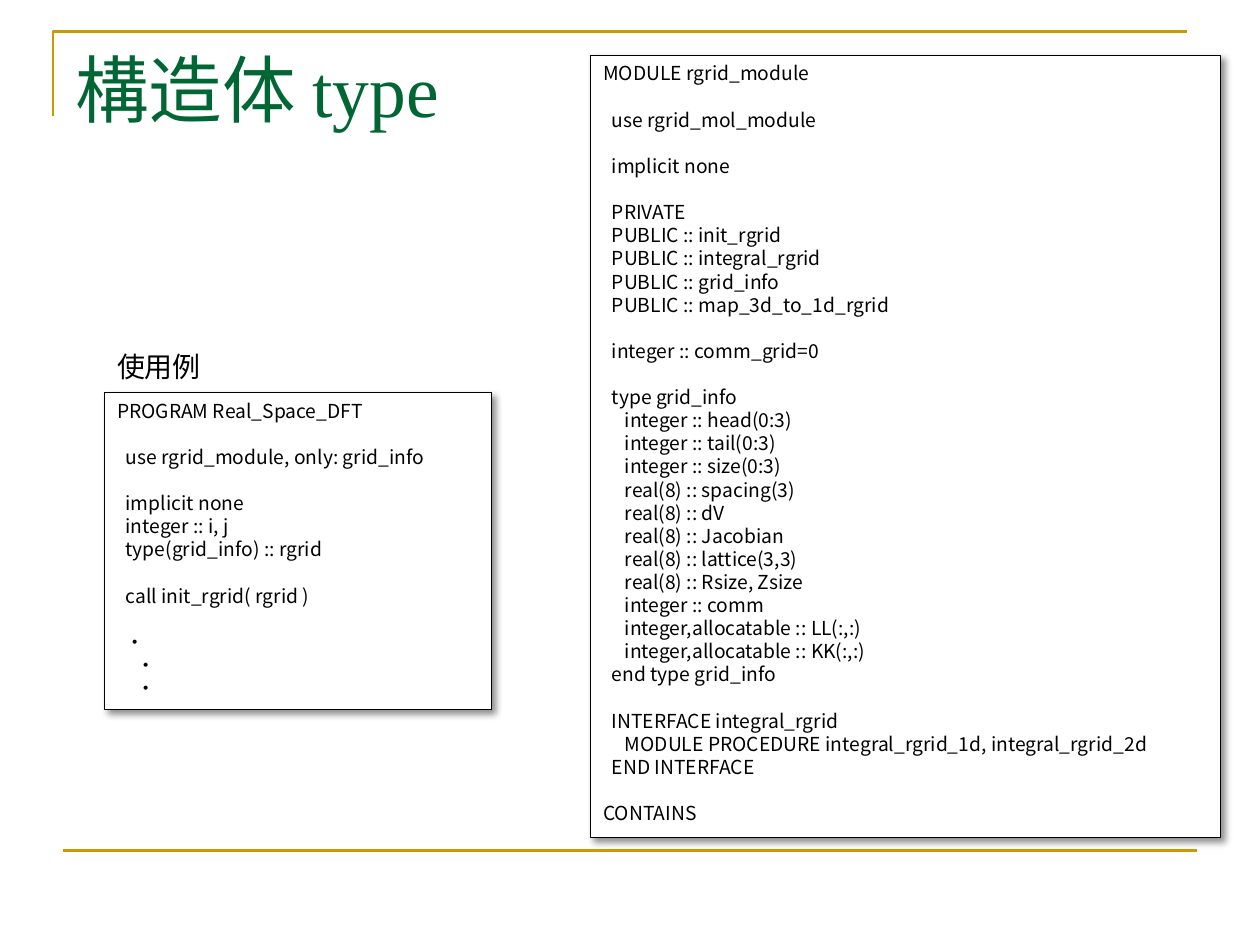
from lxml import etree
from pptx import Presentation
from pptx.dml.color import RGBColor
from pptx.enum.shapes import MSO_CONNECTOR, MSO_SHAPE
from pptx.enum.text import MSO_ANCHOR, PP_ALIGN
from pptx.oxml import parse_xml
from pptx.oxml.ns import nsdecls, qn
from pptx.util import Cm, Pt

GOLD = RGBColor(0xCC, 0x99, 0x00)
GREEN = RGBColor(0x00, 0x66, 0x33)
BLACK = RGBColor(0, 0, 0)
WHITE = RGBColor(0xFF, 0xFF, 0xFF)
SANS = "Noto Sans CJK JP"
SERIF = "Times New Roman"
CODE_LINE = Pt(13.2)

MODULE_CODE = """\
MODULE rgrid_module

  use rgrid_mol_module

  implicit none

  PRIVATE
  PUBLIC :: init_rgrid
  PUBLIC :: integral_rgrid
  PUBLIC :: grid_info
  PUBLIC :: map_3d_to_1d_rgrid

  integer :: comm_grid=0

  type grid_info
     integer :: head(0:3)
     integer :: tail(0:3)
     integer :: size(0:3)
     real(8) :: spacing(3)
     real(8) :: dV
     real(8) :: Jacobian
     real(8) :: lattice(3,3)
     real(8) :: Rsize, Zsize
     integer :: comm
     integer,allocatable :: LL(:,:)
     integer,allocatable :: KK(:,:)
  end type grid_info

  INTERFACE integral_rgrid
     MODULE PROCEDURE integral_rgrid_1d, integral_rgrid_2d
  END INTERFACE

CONTAINS"""

PROGRAM_CODE = """\
PROGRAM Real_Space_DFT

  use rgrid_module, only: grid_info

  implicit none
  integer :: i, j
  type(grid_info) :: rgrid

  call init_rgrid( rgrid )

  ・
　・
　・"""


def add_run(paragraph, text, size, color, latin):
    run = paragraph.add_run()
    run.text = text
    run.font.size = Pt(size)
    run.font.color.rgb = color
    run.font.name = latin
    east_asian = etree.SubElement(run.font._element, qn("a:ea"))
    east_asian.set("typeface", SANS)


def add_frame(slide, left, top, width, height):
    """Draw the gold corner at the top left and the gold rule along the bottom."""
    inset, stem = 0.2, 1.7
    builder = slide.shapes.build_freeform(Cm(left), Cm(top + stem))
    builder.add_line_segments(
        [(Cm(left), Cm(top)), (Cm(left + width), Cm(top))], close=False)
    corner = builder.convert_to_shape()
    corner.fill.background()
    corner.shadow.inherit = False

    bottom = Cm(top + height)
    rule = slide.shapes.add_connector(
        MSO_CONNECTOR.STRAIGHT, Cm(left + inset), bottom,
        Cm(left + inset + width), bottom)
    etree.SubElement(rule._element.spPr, qn("a:effectLst"))
    for stroke in (corner, rule):
        stroke.line.color.rgb = GOLD
        stroke.line.width = Pt(1.5)


def add_text(slide, box, text, size, color, latin, wrap):
    frame = slide.shapes.add_textbox(*map(Cm, box)).text_frame
    frame.word_wrap = wrap
    add_run(frame.paragraphs[0], text, size, color, latin)


def add_drop_shadow(shape):
    shape.shadow.inherit = False
    effects = shape._element.spPr.find(qn("a:effectLst"))
    effects.append(parse_xml(
        f'<a:outerShdw {nsdecls("a")} blurRad="{Pt(4)}" dist="{Pt(3)}" '
        'dir="2700000" algn="tl" rotWithShape="0">'
        '<a:srgbClr val="000000"><a:alpha val="43000"/></a:srgbClr>'
        '</a:outerShdw>'))


def add_code(slide, box, code):
    """Draw a shadowed listing; an empty code line becomes space before the next."""
    panel = slide.shapes.add_shape(MSO_SHAPE.RECTANGLE, *map(Cm, box))
    panel.fill.solid()
    panel.fill.fore_color.rgb = WHITE
    panel.line.color.rgb = BLACK
    panel.line.width = Pt(0.75)
    add_drop_shadow(panel)

    frame = panel.text_frame
    frame.word_wrap = True
    frame.vertical_anchor = MSO_ANCHOR.TOP
    after_gap = False
    for number, line in enumerate(code.split("\n")):
        if not line:
            after_gap = True
            continue
        paragraph = frame.add_paragraph() if number else frame.paragraphs[0]
        layout = {"alignment": PP_ALIGN.LEFT, "line_spacing": CODE_LINE}
        if after_gap:
            layout["space_before"] = CODE_LINE
        for attribute, value in layout.items():
            setattr(paragraph, attribute, value)
        add_run(paragraph, line, 11, BLACK, SANS)
        after_gap = False


def add_example(slide, left, top, width, height):
    """Place the usage heading with its program listing below."""
    heading = 0.99
    add_code(slide, (left, top + heading, width, height - heading), PROGRAM_CODE)
    add_text(slide, (left, top, 2.24, 0.94), "使用例", 16, BLACK, SANS, False)


def main():
    presentation = Presentation()
    presentation.slide_width = Cm(25.4)
    presentation.slide_height = Cm(19.05)
    slide = presentation.slides.add_slide(presentation.slide_layouts[6])
    add_frame(slide, 1.07, 0.64, 22.86, 16.51)
    add_text(slide, (1.27, 0.76, 22.86, 3.18), "構造体 type", 42, GREEN, SERIF, True)
    add_code(slide, (11.91, 1.12, 12.7, 15.77), MODULE_CODE)
    add_example(slide, 2.11, 6.93, 7.8, 7.37)
    presentation.save("out.pptx")


if __name__ == "__main__":
    main()
